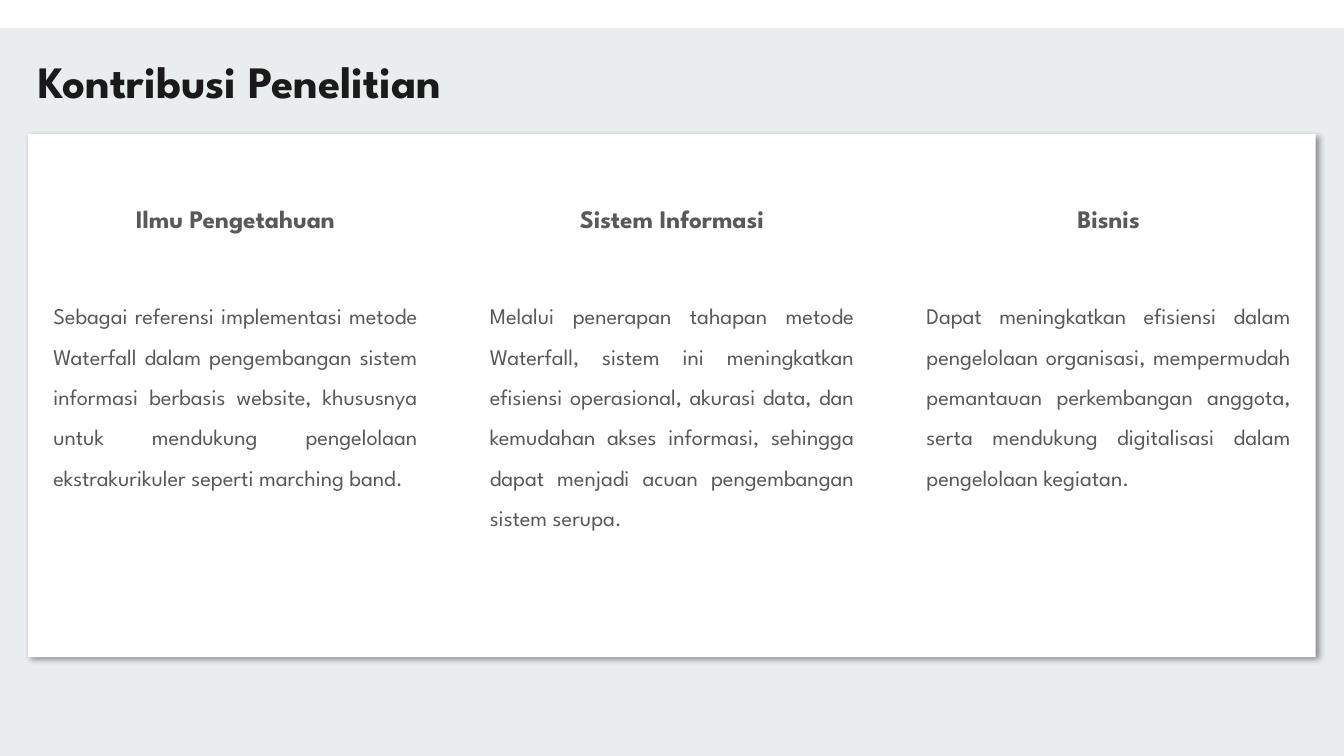
from lxml.etree import SubElement
from pptx import Presentation
from pptx.dml.color import RGBColor
from pptx.enum.shapes import MSO_SHAPE
from pptx.enum.text import MSO_ANCHOR, PP_ALIGN
from pptx.oxml.ns import qn
from pptx.util import Inches, Pt

COLORS = {
    "background": "E9EDEE",
    "panel": "FFFFFF",
    "title": "1A1A1A",
    "body": "595959",
    "shadow": "000000",
}
CONTRIBUTIONS = [
    (
        "Ilmu Pengetahuan",
        "Sebagai referensi implementasi metode Waterfall dalam pengembangan sistem "
        "informasi berbasis website, khususnya untuk mendukung pengelolaan "
        "ekstrakurikuler seperti marching band.",
    ),
    (
        "Sistem Informasi",
        "Melalui penerapan tahapan metode Waterfall, sistem ini meningkatkan efisiensi "
        "operasional, akurasi data, dan kemudahan akses informasi, sehingga dapat "
        "menjadi acuan pengembangan sistem serupa.",
    ),
    (
        "Bisnis",
        "Dapat meningkatkan efisiensi dalam pengelolaan organisasi, mempermudah "
        "pemantauan perkembangan anggota, serta mendukung digitalisasi dalam "
        "pengelolaan kegiatan.",
    ),
]
COLUMN_LEFT = 0.43
COLUMN_STEP = 4.33
COLUMN_WIDTH = 3.81


class SlideBuilder:
    font_name = "League Spartan"

    def __init__(self, slide):
        self.slide = slide
        background = slide.background.fill
        background.solid()
        background.fore_color.rgb = self.color("background")

    def color(self, role):
        return RGBColor.from_string(COLORS[role])

    def fill_frame(self, frame, wording, size, role, align, bold, spacing):
        frame.word_wrap = True
        frame.vertical_anchor = MSO_ANCHOR.TOP
        frame.text = wording
        paragraph = frame.paragraphs[0]
        paragraph.alignment = align
        paragraph.line_spacing = spacing
        font = paragraph.runs[0].font
        font.name = self.font_name
        font.size = Pt(size)
        font.bold = bold
        font.color.rgb = self.color(role)

    def title(self, wording, left, top, width, height):
        heading = self.slide.shapes.title
        heading.left, heading.top = Inches(left), Inches(top)
        heading.width, heading.height = Inches(width), Inches(height)
        self.fill_frame(
            heading.text_frame, wording, 32, "title", PP_ALIGN.LEFT, True, 1.0
        )

    def text(self, wording, left, top, width, height, size, align, bold=False):
        box = self.slide.shapes.add_textbox(
            Inches(left), Inches(top), Inches(width), Inches(height)
        )
        self.fill_frame(box.text_frame, wording, size, "body", align, bold, 1.5)

    def panel(self, left, top, width, height):
        rectangle = self.slide.shapes.add_shape(
            MSO_SHAPE.RECTANGLE, Inches(left), Inches(top), Inches(width), Inches(height)
        )
        rectangle.shadow.inherit = False
        rectangle.fill.solid()
        rectangle.fill.fore_color.rgb = self.color("panel")
        rectangle.line.fill.background()
        return rectangle

    def cast_shadow(self, rectangle):
        effects = rectangle.element.spPr.find(qn("a:effectLst"))
        shadow = SubElement(
            effects,
            qn("a:outerShdw"),
            blurRad=str(Pt(4)),
            dist=str(Pt(3)),
            dir=str(45 * 60000),
            algn="tl",
            rotWithShape="0",
        )
        tint = SubElement(shadow, qn("a:srgbClr"), val=COLORS["shadow"])
        SubElement(tint, qn("a:alpha"), val="40000")


def main():
    presentation = Presentation()
    presentation.slide_width = Inches(13.33)
    presentation.slide_height = Inches(7.5)
    title_only = presentation.slide_layouts[5]
    builder = SlideBuilder(presentation.slides.add_slide(title_only))

    builder.title("Kontribusi Penelitian", 0.28, 0.48, 4.54, 0.64)
    builder.cast_shadow(builder.panel(0.28, 1.33, 12.77, 5.19))
    builder.panel(0, 0, 13.33, 0.28)

    for index, (field, contribution) in enumerate(CONTRIBUTIONS):
        left = COLUMN_LEFT + index * COLUMN_STEP
        builder.text(field, left, 1.82, COLUMN_WIDTH, 0.5, 18, PP_ALIGN.CENTER, True)
        builder.text(contribution, left, 2.82, COLUMN_WIDTH, 2.9, 16, PP_ALIGN.JUSTIFY)

    presentation.save("out.pptx")


if __name__ == "__main__":
    main()
